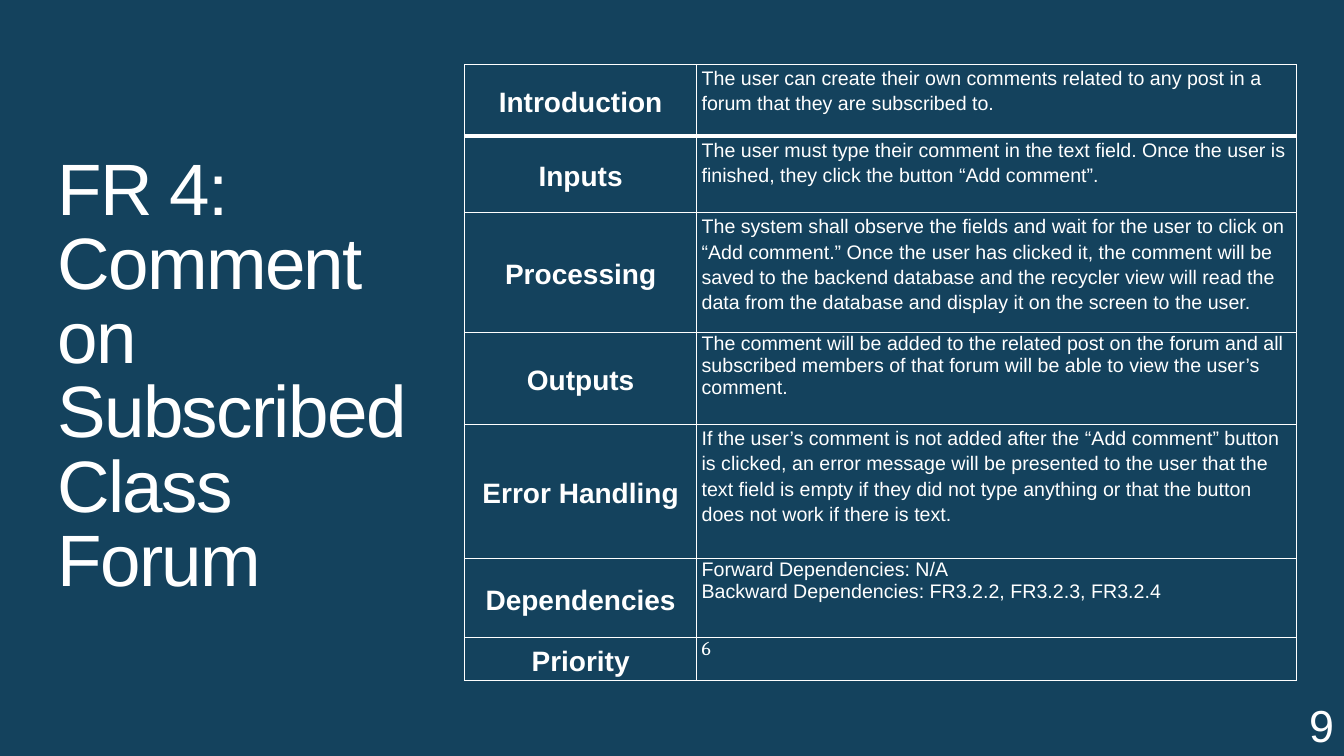
from dataclasses import dataclass

import lxml.etree
import pptx
import pptx.dml.color
import pptx.enum.text
import pptx.oxml.ns
import pptx.util

NAVY = "14425D"
WHITE = "FFFFFF"
ALIGN = pptx.enum.text.PP_ALIGN
ANCHOR = pptx.enum.text.MSO_ANCHOR

SLIDE_WIDTH = pptx.util.Inches(13.33)
SLIDE_HEIGHT = pptx.util.Inches(7.5)


@dataclass
class Box:
    """A rectangle in percent of the slide's width and height."""
    left: float
    top: float
    width: float
    height: float


@dataclass
class Requirement:
    """One table row; its height is a percentage of the slide's height."""
    label: str
    detail: str
    height: float
    spaced: bool = True
    font: str = "Arial"


TITLE_BOX = Box(3.53, 10, 39.45, 80.13)
NUMBER_BOX = Box(95.8, 91.07, 4.2, 8.93)
TABLE_LEFT, TABLE_TOP = 34.58, 8.53
COLUMN_WIDTHS = (17.25, 44.63)

TITLE = "FR 4: \vComment \von \vSubscribed Class \vForum"
REQUIREMENTS = [
    Requirement("Introduction", "The user can create their own comments related to any post "
                "in a forum that they are subscribed to.", 9.47),
    Requirement("Inputs", "The user must type their comment in the text field. Once the user "
                "is finished, they click the button “Add comment”.", 10.13),
    Requirement("Processing", "The system shall observe the fields and wait for the user to "
                "click on “Add comment.” Once the user has clicked it, the comment will be "
                "saved to the backend database and the recycler view will read the data from "
                "the database and display it on the screen to the user.", 15.87),
    Requirement("Outputs", "The comment will be added to the related post on the forum and all "
                "subscribed members of that forum will be able to view the user’s comment.",
                12.13, spaced=False),
    Requirement("Error Handling", "If the user’s comment is not added after the “Add comment” "
                "button is clicked, an error message will be presented to the user that the "
                "text field is empty if they did not type anything or that the button does "
                "not work if there is text.", 17.73),
    Requirement("Dependencies", "Forward Dependencies: N/A\n"
                "Backward Dependencies: FR3.2.2, FR3.2.3, FR3.2.4", 10.53, spaced=False),
    Requirement("Priority", "6", 5.6, spaced=False, font="Cambria"),
]


def color(value: str) -> pptx.dml.color.RGBColor:
    return pptx.dml.color.RGBColor.from_string(value)


def across(percent: float) -> int:
    return round(SLIDE_WIDTH * percent / 100)


def down(percent: float) -> int:
    return round(SLIDE_HEIGHT * percent / 100)


def place(box: Box) -> tuple[int, int, int, int]:
    return across(box.left), down(box.top), across(box.width), down(box.height)


def write_text(frame, text: str, *, size: float, font: str = "Arial", bold: bool = False,
               align=ALIGN.LEFT, line_spacing: float = 1.0, gap: float = 0,
               tracking: float = 0) -> None:
    frame.text = text
    for paragraph in frame.paragraphs:
        paragraph.alignment = align
        paragraph.line_spacing = line_spacing
        paragraph.space_before = paragraph.space_after = pptx.util.Pt(gap)
        for run in paragraph.runs:
            run.font.name = font
            run.font.size = pptx.util.Pt(size)
            run.font.bold = bold
            run.font.color.rgb = color(WHITE)
            if tracking:
                run.font._element.set("spc", str(round(tracking * 100)))


def set_borders(cell, widths: dict[str, float]) -> None:
    properties = cell._tc.get_or_add_tcPr()
    for position, (side, width) in enumerate(widths.items()):
        line = lxml.etree.Element(pptx.oxml.ns.qn(f"a:ln{side}"), w=str(pptx.util.Pt(width)))
        fill = lxml.etree.SubElement(line, pptx.oxml.ns.qn("a:solidFill"))
        lxml.etree.SubElement(fill, pptx.oxml.ns.qn("a:srgbClr"), val=WHITE)
        properties.insert(position, line)


def format_cell(cell, row_index: int) -> None:
    cell.margin_left = cell.margin_right = pptx.util.Inches(0.05)
    cell.margin_top = cell.margin_bottom = 0
    cell.fill.solid()
    cell.fill.fore_color.rgb = color(NAVY)
    # The rule below the first row is heavier than the rest
    set_borders(cell, {"L": 1, "R": 1, "T": 3 if row_index == 1 else 1,
                       "B": 3 if row_index == 0 else 1})


def add_title(slide) -> None:
    title = slide.shapes.title
    title.left, title.top, title.width, title.height = place(TITLE_BOX)
    frame = title.text_frame
    write_text(frame, TITLE, size=52, line_spacing=0.85, tracking=-1.2)
    frame.word_wrap = True
    frame.auto_size = pptx.enum.text.MSO_AUTO_SIZE.NONE
    frame.vertical_anchor = ANCHOR.MIDDLE


def add_slide_number(slide) -> None:
    frame = slide.shapes.add_textbox(*place(NUMBER_BOX)).text_frame
    frame.word_wrap = True
    frame.vertical_anchor = ANCHOR.BOTTOM
    write_text(frame, "9", size=32, align=ALIGN.RIGHT)


def add_requirements_table(slide) -> None:
    box = Box(TABLE_LEFT, TABLE_TOP, sum(COLUMN_WIDTHS),
              sum(requirement.height for requirement in REQUIREMENTS))
    table = slide.shapes.add_table(len(REQUIREMENTS), len(COLUMN_WIDTHS), *place(box)).table
    table.first_row = table.horz_banding = False
    for column, width in zip(table.columns, COLUMN_WIDTHS):
        column.width = across(width)

    for index, requirement in enumerate(REQUIREMENTS):
        table.rows[index].height = down(requirement.height)
        label, detail = table.cell(index, 0), table.cell(index, 1)
        for cell in (label, detail):
            format_cell(cell, index)
        label.vertical_anchor = ANCHOR.MIDDLE
        write_text(label.text_frame, requirement.label, size=20, bold=True,
                   align=ALIGN.CENTER, line_spacing=1.15)
        write_text(detail.text_frame, requirement.detail, size=14, font=requirement.font,
                   line_spacing=1.15 if requirement.spaced else 1.0,
                   gap=6 if requirement.spaced else 0)


def main() -> None:
    presentation = pptx.Presentation()
    presentation.slide_width = SLIDE_WIDTH
    presentation.slide_height = SLIDE_HEIGHT
    slide = presentation.slides.add_slide(presentation.slide_layouts.get_by_name("Title Only"))
    slide.background.fill.solid()
    slide.background.fill.fore_color.rgb = color(NAVY)

    add_title(slide)
    add_slide_number(slide)
    add_requirements_table(slide)
    presentation.save("out.pptx")


if __name__ == "__main__":
    main()
